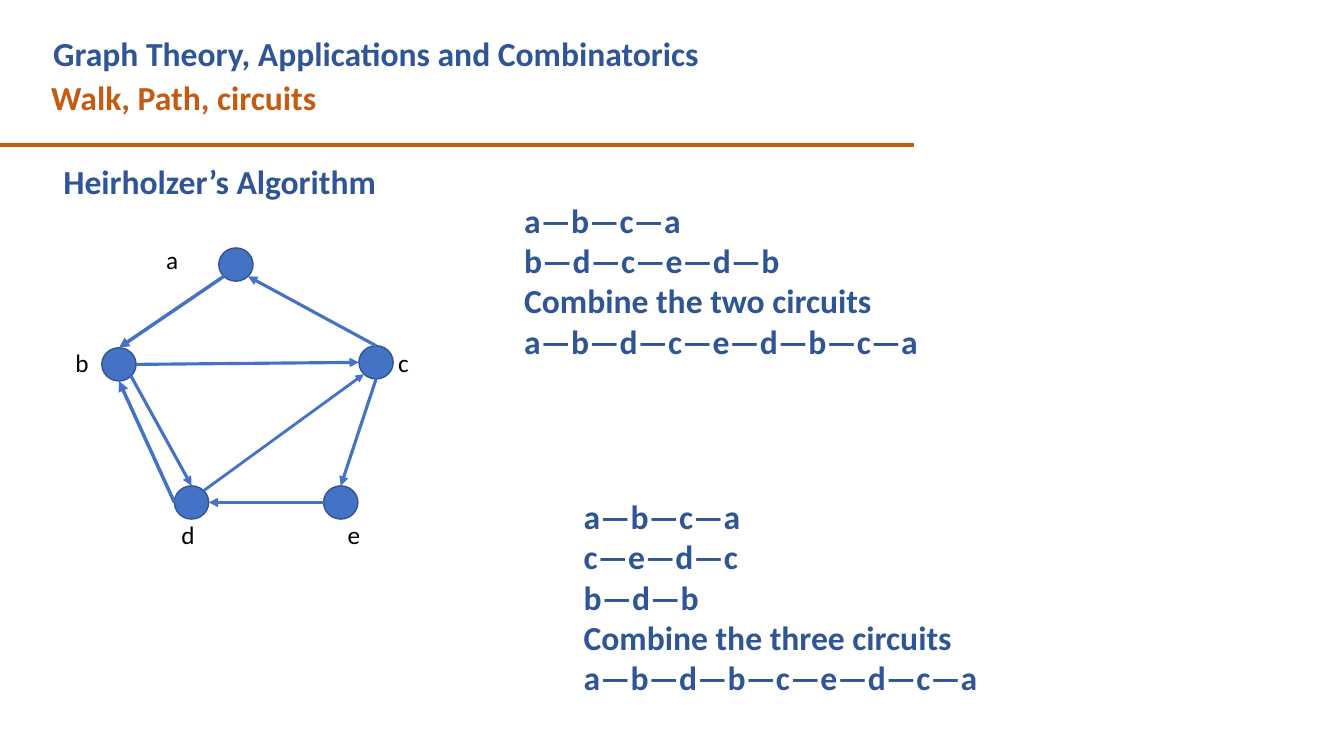
from math import cos, radians, sin

from lxml import etree
from pptx import Presentation
from pptx.dml.color import RGBColor
from pptx.enum.shapes import MSO_CONNECTOR, MSO_SHAPE
from pptx.enum.text import MSO_AUTO_SIZE, PP_ALIGN
from pptx.oxml.ns import qn
from pptx.util import Inches, Pt

STRAIGHT = MSO_CONNECTOR.STRAIGHT
OVAL = MSO_SHAPE.OVAL
FIT_SHAPE = MSO_AUTO_SIZE.SHAPE_TO_FIT_TEXT
JUSTIFY = PP_ALIGN.JUSTIFY

COLORS = {
    "heading": "2F5597",
    "accent": "C55A11",
    "node": "4472C4",
    "node_line": "325491",
    "label": "000000",
}
FONT = "Calibri"
NODE_W, NODE_H = 0.34, 0.33

# Attachment sites on a node, as angles clockwise from the right
SITES = {"right": 0, "lower_right": 45, "bottom": 90, "lower_left": 135,
         "left": 180, "top": 270, "upper_right": 315}

# Node name: node left and top, label left and top
NODES = {
    "a": (2.17, 2.46, 1.55, 2.37),
    "b": (1.01, 3.45, 0.65, 3.4),
    "c": (3.56, 3.43, 3.85, 3.4),
    "d": (1.73, 4.82, 1.7, 5.1),
    "e": (3.21, 4.82, 3.35, 5.1),
}

# From node and site, to node and site, line width
EDGES = [
    ("a", "lower_left", "b", "top", 2.5),
    ("c", "top", "a", "lower_right", 2.25),
    ("b", "right", "c", "left", 2.25),
    ("b", "lower_right", "d", "top", 2.25),
    ("d", "left", "b", "bottom", 2.5),
    ("e", "left", "d", "right", 2.25),
    ("c", "bottom", "e", "top", 2.25),
    ("d", "upper_right", "c", "lower_left", 2),
]


def rgb(name):
    return RGBColor.from_string(COLORS[name])


def site_point(node, site):
    left, top = NODES[node][:2]
    angle = radians(SITES[site])
    return (left + NODE_W / 2 * (1 + cos(angle)),
            top + NODE_H / 2 * (1 + sin(angle)))


class SlideBuilder:
    def __init__(self, slide):
        self.shapes = slide.shapes

    def text(self, box, lines, color="heading", size=24, bold=True, align=None):
        tb = self.shapes.add_textbox(*map(Inches, box))
        tf = tb.text_frame
        tf.word_wrap = True
        tf.auto_size = FIT_SHAPE
        tf.text = "\n".join(lines)
        for p in tf.paragraphs:
            p.alignment = align
            for r in p.runs:
                r.font.name = FONT
                r.font.size = Pt(size)
                r.font.bold = bold
                r.font.color.rgb = rgb(color)

    def node(self, left, top):
        sp = self.shapes.add_shape(
            OVAL, Inches(left), Inches(top), Inches(NODE_W), Inches(NODE_H))
        sp.shadow.inherit = False
        sp.fill.solid()
        sp.fill.fore_color.rgb = rgb("node")
        sp.line.color.rgb = rgb("node_line")
        sp.line.width = Pt(1)

    def line(self, start, end, color, width, arrow=False):
        cx = self.shapes.add_connector(STRAIGHT, *map(Inches, (*start, *end)))
        cx.line.color.rgb = rgb(color)
        cx.line.width = Pt(width)
        if arrow:
            ln = cx.line._get_or_add_ln()
            etree.SubElement(ln, qn("a:tailEnd"), type="triangle")
        etree.SubElement(cx._element.spPr, qn("a:effectLst"))


def main():
    prs = Presentation()
    prs.slide_width = Inches(13.33)
    prs.slide_height = Inches(7.5)
    s = SlideBuilder(prs.slides.add_slide(prs.slide_layouts[6]))

    # Headings and rule
    s.text((0.41, 0.71, 8.75, 0.5), ["Walk, Path, circuits"], color="accent")
    s.line((-0.01, 1.44), (9.07, 1.44), "accent", 3)
    s.text((0.43, 0.28, 8.2, 0.5),
           ["Graph Theory, Applications and Combinatorics"])
    s.text((0.53, 1.55, 9.42, 0.5), ["Heirholzer’s Algorithm"], align=JUSTIFY)

    # Directed graph
    for left, top, _, _ in NODES.values():
        s.node(left, top)
    for tail, tail_site, head, head_site, width in EDGES:
        s.line(site_point(tail, tail_site), site_point(head, head_site),
               "node", width, arrow=True)
    for name, (_, _, left, top) in NODES.items():
        s.text((left, top, 0.44, 0.35), [name], "label", 18, bold=False)

    # Circuits
    s.text((5.1, 1.93, 6.65, 2.12), [
        "a—b—c—a",
        "b—d—c—e—d—b",
        "Combine the two circuits",
        "a—b—d—c—e—d—b—c—a",
    ])
    s.text((5.69, 4.87, 6.99, 2.12), [
        "a—b—c—a",
        "c—e—d—c",
        "b—d—b",
        "Combine the three circuits",
        "a—b—d—b—c—e—d—c—a",
    ])

    prs.save("out.pptx")


if __name__ == "__main__":
    main()
